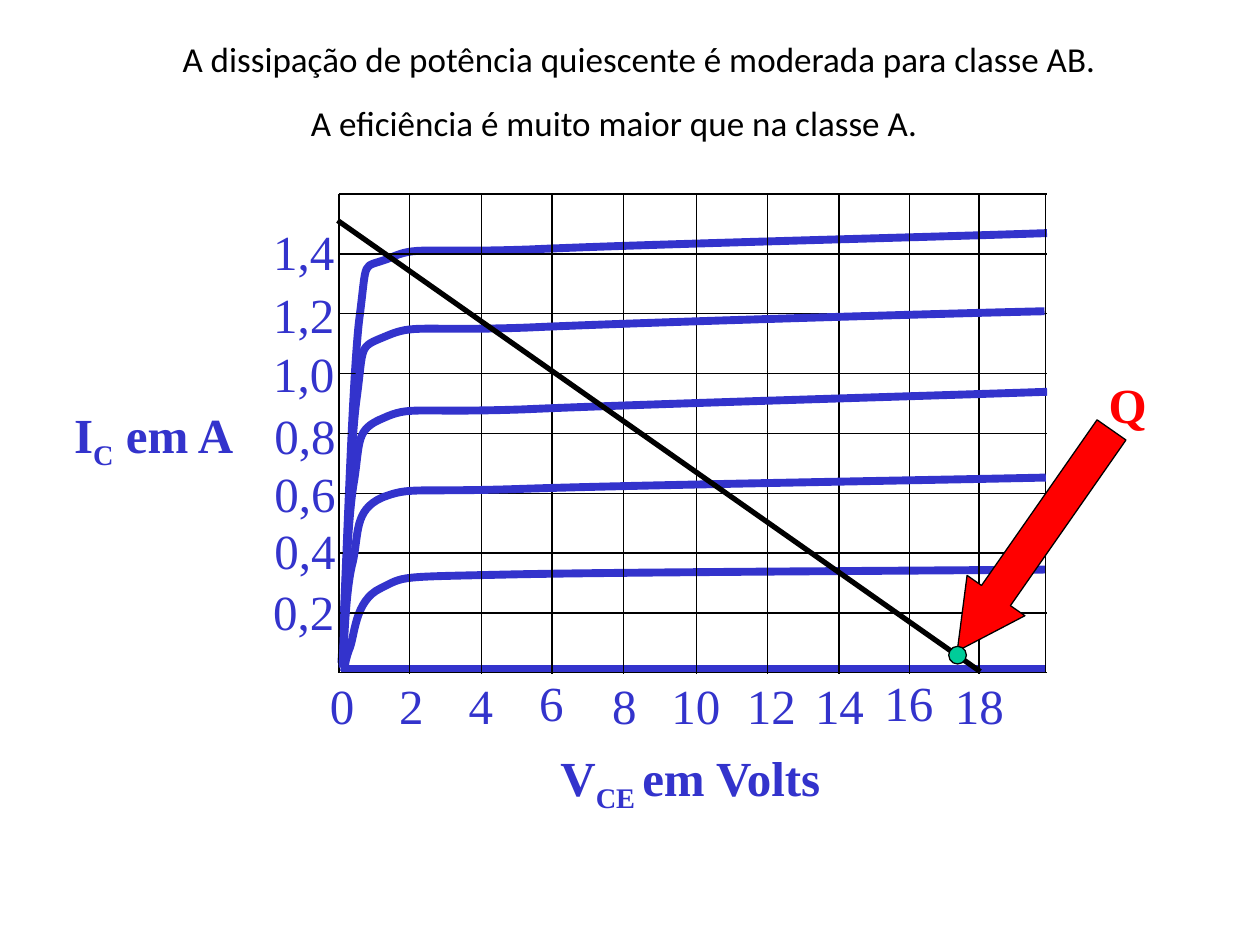
from lxml.etree import SubElement
from pptx import Presentation
from pptx.dml.color import RGBColor
from pptx.enum.shapes import MSO_CONNECTOR, MSO_SHAPE
from pptx.enum.text import MSO_AUTO_SIZE
from pptx.oxml.ns import qn
from pptx.util import Inches, Pt

BLUE = RGBColor(0x33, 0x33, 0xCC)
BLACK = RGBColor(0, 0, 0)
RED = RGBColor(0xFF, 0, 0)
GREEN = RGBColor(0, 0xCC, 0x99)

# The slide is a grid of 100 columns by 75 rows.
COLUMNS, ROWS = 100, 75
CELL = Inches(0.1)

PLOT_LEFT, PLOT_RIGHT, PLOT_TOP, PLOT_BOTTOM = 26.9, 83.1, 15.4, 53.4
CURRENT_STEP = 4.75
VOLT_COLUMNS = [32.5, 38.2, 43.8, 49.5, 55.3, 60.9, 66.6, 72.2, 77.7]
THIN, CURVE, LOAD = 0.75, 4.5, 3

AXIS = {"size": Pt(28), "name": "Times New Roman", "bold": False}
AXIS_TITLE = {**AXIS, "bold": True}
STATEMENT = {"size": Pt(20), "name": "Calibri", "bold": False}

# Label, left column and top row
VOLT_LABELS = [
    ("0", 25.2, 53.1), ("2", 30.7, 53.1), ("4", 36.2, 53.1), ("6", 41.8, 52.9),
    ("8", 47.6, 53.1), ("10", 52.3, 53.1), ("12", 58.3, 53.1),
    ("14", 63.7, 53.1), ("16", 69.2, 52.9), ("18", 74.8, 53.1),
]
CURRENT_LABELS = [
    ("0,2", 20.7, 45.7), ("0,4", 20.8, 40.8), ("0,6", 20.8, 36.3),
    ("0,8", 20.8, 31.7), ("1,0", 20.7, 26.8), ("1,2", 20.7, 22.1),
    ("1,4", 20.7, 17.1),
]

# Collector curves: a start, then Bezier triples
LOWEST_CURVE = [
    (27.3, 53.3), (27.4, 53.1), (27.3, 52.7), (27.7, 51.6),
    (28.2, 50.5), (28.1, 47.7), (30.2, 46.7),
    (32.2, 45.7), (31.4, 45.8), (40.2, 45.6), (49, 45.4), (74, 45.3), (83, 45.2),
]
HIGHEST_CURVE = [
    (27.1, 52.6), (27.4, 48.1), (27.9, 30.9), (28.5, 25.5),
    (29.2, 20.2), (28.6, 21.4), (30.9, 20.5),
    (33.1, 19.5), (33.3, 20.1), (42, 19.8), (50.7, 19.4), (74.6, 18.8), (83.1, 18.5),
]
MIDDLE_CURVES = [
    [(27.2, 52.8), (27.4, 49.3), (27.7, 36.1), (28.3, 31.7),
     (28.9, 27.3), (28.4, 27.6), (30.6, 26.7),
     (32.9, 25.7), (33.1, 26.3), (41.8, 26), (50.5, 25.6), (74.3, 24.9), (82.9, 24.7)],
    [(27.2, 52.8), (27.3, 50.4), (27.5, 41.5), (28.1, 38.2),
     (28.6, 35), (28.2, 34.1), (30.4, 33.2),
     (32.6, 32.2), (32.7, 32.8), (41.5, 32.5), (50.3, 32.1), (74.5, 31.4), (83.1, 31.1)],
    [(27.2, 53), (27.3, 51.6), (27.4, 46.8), (28, 44.6),
     (28.5, 42.3), (28.1, 40.5), (30.3, 39.5),
     (32.6, 38.6), (32.7, 39.1), (41.4, 38.8), (50.2, 38.5), (74.3, 38.1), (83, 37.9)],
]


def cells(*lengths):
    return [round(length * CELL) for length in lengths]


class Plot:
    """Draws on the current slide; all lengths are grid columns and rows."""

    def __init__(self, slide):
        self.shapes = slide.shapes

    def text(self, runs, left, top, width, height, style, color, shapes=None):
        """Runs are pairs of wording and baseline shift in percent."""
        box = (shapes or self.shapes).add_textbox(*cells(left, top, width, height))
        frame = box.text_frame
        frame.word_wrap = False
        frame.auto_size = MSO_AUTO_SIZE.SHAPE_TO_FIT_TEXT
        for wording, shift in runs:
            run = frame.paragraphs[0].add_run()
            run.text = wording
            for attribute, value in style.items():
                setattr(run.font, attribute, value)
            run.font.color.rgb = color
            if shift:
                run.font._element.set("baseline", str(shift * 1000))

    def line(self, x1, y1, x2, y2, color=BLACK, width=THIN):
        connector = self.shapes.add_connector(
            MSO_CONNECTOR.STRAIGHT, *cells(x1, y1, x2, y2))
        connector.line.color.rgb = color
        connector.line.width = Pt(width)
        SubElement(connector._element.spPr, qn("a:effectLst"))

    def curve(self, controls):
        """Joins every three line segments of the freeform into one Bezier."""
        start, *rest = [cells(*point) for point in controls]
        builder = self.shapes.build_freeform(*start)
        builder.add_line_segments(rest, close=False)
        shape = builder.convert_to_shape()
        outline = shape._element.find(".//" + qn("a:path"))
        segments = outline.findall(qn("a:lnTo"))
        for first in range(0, len(segments), 3):
            bezier = SubElement(outline, qn("a:cubicBezTo"))
            for segment in segments[first:first + 3]:
                bezier.append(segment[0])
                outline.remove(segment)
        shape.shadow.inherit = False
        shape.fill.background()
        shape.line.color.rgb = BLUE
        shape.line.width = Pt(CURVE)

    def shape(self, kind, left, top, width, height, fill, shapes=None):
        shape = (shapes or self.shapes).add_shape(kind, *cells(left, top, width, height))
        shape.shadow.inherit = False
        shape.fill.solid()
        shape.fill.fore_color.rgb = fill
        shape.line.color.rgb = BLACK
        shape.line.width = Pt(THIN)
        return shape

    def grid(self):
        self.line(PLOT_LEFT, PLOT_TOP, PLOT_LEFT, PLOT_BOTTOM)
        self.line(PLOT_LEFT, PLOT_TOP, PLOT_RIGHT, PLOT_TOP)
        for row in range(1, 9):
            y = PLOT_TOP + row * CURRENT_STEP
            self.line(PLOT_LEFT + 0.1, y, PLOT_RIGHT, y)
        for x in VOLT_COLUMNS:
            self.line(x, PLOT_TOP + 0.1, x, PLOT_BOTTOM + 0.1)
        self.line(PLOT_RIGHT - 0.1, PLOT_TOP, PLOT_RIGHT - 0.1, PLOT_BOTTOM)

    def quiescent_callout(self):
        members = self.shapes.add_group_shape().shapes
        arrow = self.shape(MSO_SHAPE.LEFT_ARROW, 71.4, 40.1, 21.4, 5.6, RED, members)
        arrow.rotation = 304.9
        arrow.adjustments[0], arrow.adjustments[1] = 0.5, 0.96
        self.text([("Q", 0)], 87, 29.2, 5, 5.2, AXIS_TITLE, RED, members)


def main():
    presentation = Presentation()
    presentation.slide_width = COLUMNS * CELL
    presentation.slide_height = ROWS * CELL
    plot = Plot(presentation.slides.add_slide(presentation.slide_layouts[6]))

    for label, left, top in VOLT_LABELS:
        plot.text([(label, 0)], left, top, 1.9 + 2 * len(label), 5.2, AXIS, BLUE)
    for label, left, top in CURRENT_LABELS:
        plot.text([(label, 0)], left, top, 6.9, 5.7, AXIS, BLUE)
    plot.text([("V", 0), ("CE ", -25), ("em Volts", 0)],
              43.5, 58.8, 23.6, 5.2, AXIS_TITLE, BLUE)
    plot.text([("I", 0), ("C", -25), (" em A", 0)],
              4.9, 31.6, 15.1, 5.2, AXIS_TITLE, BLUE)

    plot.curve(LOWEST_CURVE)
    plot.line(27.1, 53.1, 83, 53.1, BLUE, CURVE)
    plot.curve(HIGHEST_CURVE)
    plot.grid()
    for controls in MIDDLE_CURVES:
        plot.curve(controls)
    plot.line(26.8, 17.5, 77.8, 53.3, BLACK, LOAD)

    plot.quiescent_callout()
    plot.text([("A dissipação de potência quiescente é moderada para classe AB.", 0)],
              13.5, 2.5, 75.2, 4.4, STATEMENT, BLACK)
    plot.text([("A eficiência é muito maior que na classe A.", 0)],
              23.7, 7.6, 50.7, 4.4, STATEMENT, BLACK)
    plot.shape(MSO_SHAPE.OVAL, 75.3, 51.3, 1.4, 1.4, GREEN)

    presentation.save("out.pptx")


if __name__ == "__main__":
    main()
